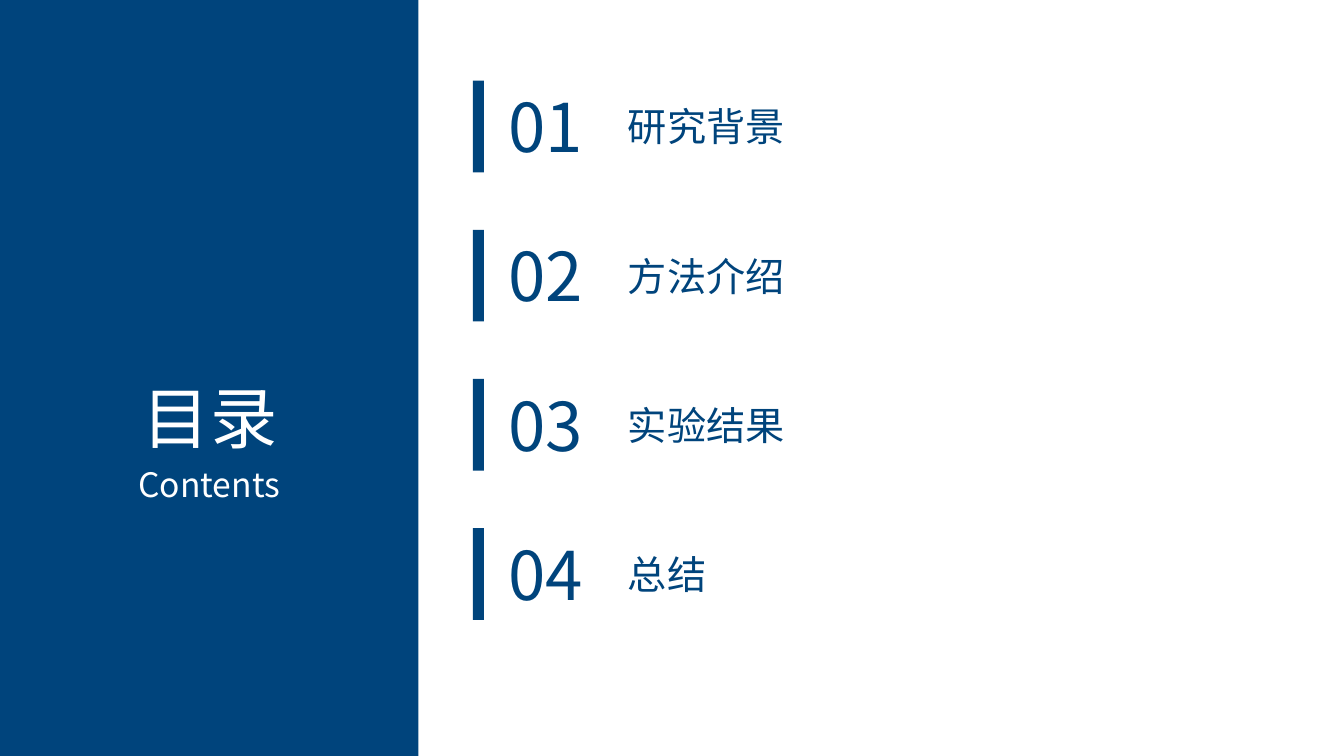
from dataclasses import dataclass

from pptx import Presentation
from pptx.dml.color import RGBColor
from pptx.enum.shapes import MSO_SHAPE
from pptx.enum.text import MSO_AUTO_SIZE, PP_ALIGN
from pptx.oxml.ns import qn
from pptx.slide import Slide
from pptx.util import Inches, Pt

RECTANGLE = MSO_SHAPE.RECTANGLE
LEFT = PP_ALIGN.LEFT
CENTER = PP_ALIGN.CENTER
GROW = MSO_AUTO_SIZE.SHAPE_TO_FIT_TEXT


@dataclass(frozen=True)
class Theme:
    blue: RGBColor = RGBColor(0x00, 0x44, 0x7C)
    white: RGBColor = RGBColor(0xFF, 0xFF, 0xFF)
    font: str = "Noto Sans CJK SC"
    large: int = 48
    medium: int = 28
    small: int = 24


@dataclass(frozen=True)
class Box:
    left: float
    top: float
    width: float
    height: float


@dataclass(frozen=True)
class Label:
    text: str
    box: Box
    size: int
    color: RGBColor
    alignment: PP_ALIGN = CENTER


THEME = Theme()
PANEL = Box(0, 0, 4.15, 7.5)
HEADINGS = (
    Label("目录", Box(1.18, 3.68, 1.81, 0.91), THEME.large, THEME.white),
    Label("Contents", Box(1.08, 4.55, 1.99, 0.5), THEME.small, THEME.white),
)
CHAPTERS = ("研究背景", "方法介绍", "实验结果", "总结")
FIRST_TOP = 0.8
CHAPTER_STEP = 1.48
CHAPTER_HEIGHT = 0.91
TITLE_OFFSET = 0.17


def add_bar(slide: Slide, box: Box) -> None:
    shape = slide.shapes.add_shape(
        RECTANGLE, Inches(box.left), Inches(box.top), Inches(box.width), Inches(box.height)
    )
    shape.shadow.inherit = False
    shape.fill.solid()
    shape.fill.fore_color.rgb = THEME.blue
    shape.line.fill.background()


def add_label(slide: Slide, label: Label) -> None:
    box = label.box
    shape = slide.shapes.add_textbox(
        Inches(box.left), Inches(box.top), Inches(box.width), Inches(box.height)
    )
    text_frame = shape.text_frame
    text_frame.word_wrap = True
    text_frame.auto_size = GROW
    text_frame.text = label.text
    paragraph = text_frame.paragraphs[0]
    paragraph.alignment = label.alignment
    font = paragraph.runs[0].font
    font.size = Pt(label.size)
    font.color.rgb = label.color
    font.name = THEME.font
    east_asian = paragraph.runs[0]._r.get_or_add_rPr().makeelement(
        qn("a:ea"), {"typeface": THEME.font}
    )
    paragraph.runs[0]._r.rPr.find(qn("a:latin")).addnext(east_asian)


def add_chapter(slide: Slide, number: int, title: str) -> None:
    top = FIRST_TOP + (number - 1) * CHAPTER_STEP
    title_box = Box(6.13, top + TITLE_OFFSET, 2.97, 0.57)
    number_box = Box(4.86, top, 1.1, CHAPTER_HEIGHT)
    add_label(slide, Label(title, title_box, THEME.medium, THEME.blue, LEFT))
    add_label(slide, Label(f"{number:02}", number_box, THEME.large, THEME.blue))
    add_bar(slide, Box(4.69, top, 0.11, CHAPTER_HEIGHT))


def main() -> None:
    presentation = Presentation()
    presentation.slide_width = Inches(13.33)
    presentation.slide_height = Inches(7.5)
    slide = presentation.slides.add_slide(presentation.slide_layouts[6])
    add_bar(slide, PANEL)
    for heading in HEADINGS:
        add_label(slide, heading)
    for number, title in enumerate(CHAPTERS, start=1):
        add_chapter(slide, number, title)
    presentation.save("out.pptx")


if __name__ == "__main__":
    main()
